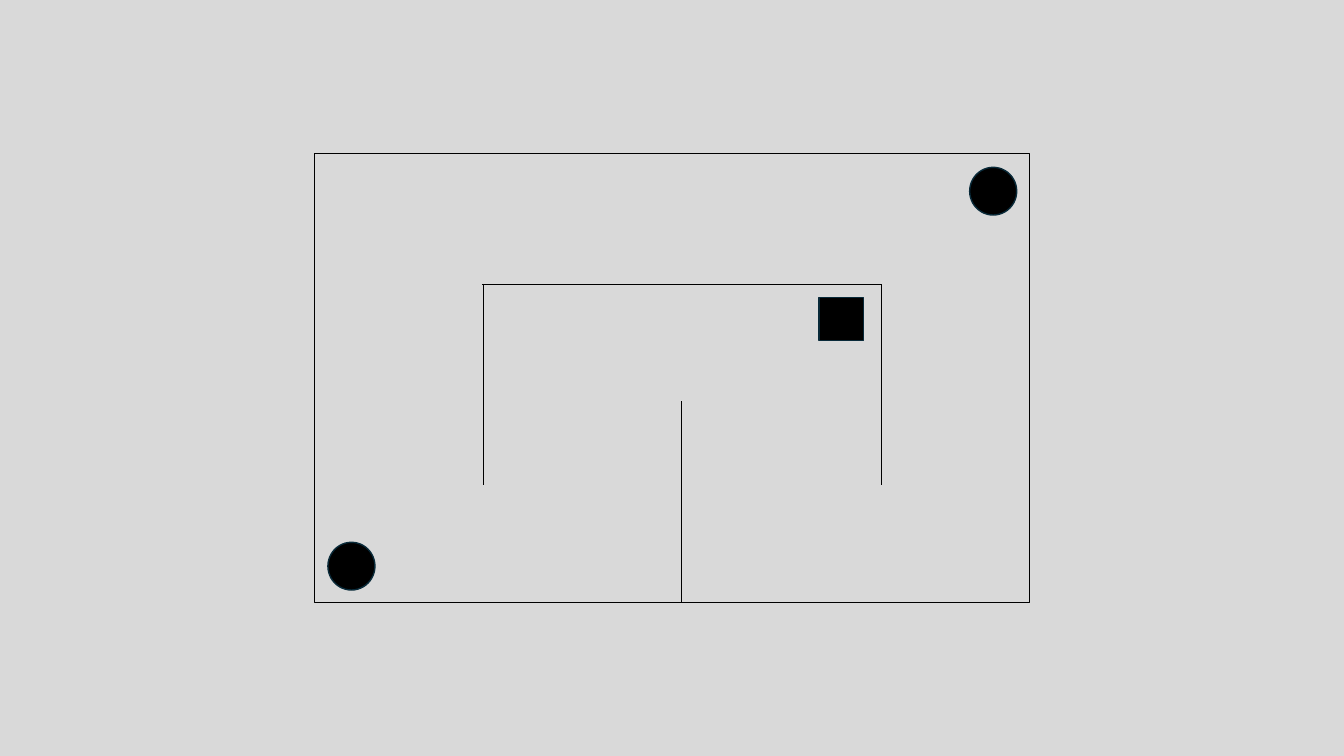
"""Build a slide with a plain maze: a walled arena, two discs and a block."""
from lxml.etree import SubElement
from pptx import Presentation
from pptx.dml.color import RGBColor
from pptx.enum.shapes import MSO_CONNECTOR, MSO_SHAPE
from pptx.oxml.ns import qn
from pptx.util import Inches, Pt

GREY = RGBColor(0xD9, 0xD9, 0xD9)
BLACK = RGBColor(0, 0, 0)
NAVY = RGBColor(0x09, 0x2A, 0x39)

LEFT_WALL, RIGHT_WALL, ROOF, WALL_END = 7.19, 13.11, 4.23, 7.21
ARENA = (MSO_SHAPE.RECTANGLE, (4.68, 2.29, 10.64, 6.67), GREY, BLACK, 1)
MARKERS = [
    (MSO_SHAPE.OVAL, (4.88, 8.07, 0.7, 0.71), BLACK, NAVY, 1.5),
    (MSO_SHAPE.OVAL, (14.43, 2.49, 0.7, 0.71), BLACK, NAVY, 1.5),
    (MSO_SHAPE.RECTANGLE, (12.19, 4.43, 0.66, 0.64), BLACK, NAVY, 1.5),
]
WALLS = [
    (LEFT_WALL, ROOF, LEFT_WALL, WALL_END),
    (10.14, 5.97, 10.14, 8.96),
    (RIGHT_WALL, ROOF, RIGHT_WALL, WALL_END),
    (7.17, ROOF, RIGHT_WALL, ROOF),
]


def add_piece(maze, kind, box, fill, outline, weight):
    piece = maze.shapes.add_shape(kind, *map(Inches, box))
    piece.shadow.inherit = False
    piece.fill.solid()
    piece.fill.fore_color.rgb = fill
    piece.line.color.rgb = outline
    piece.line.width = Pt(weight)


def add_wall(maze, ends):
    wall = maze.shapes.add_connector(MSO_CONNECTOR.STRAIGHT, *map(Inches, ends))
    wall.line.color.rgb = BLACK
    wall.line.width = Pt(1)
    SubElement(wall._element.spPr, qn("a:effectLst"))


def main():
    deck = Presentation()
    deck.slide_width, deck.slide_height = Inches(20), Inches(11.25)
    slide = deck.slides.add_slide(deck.slide_layouts[6])
    slide.background.fill.solid()
    slide.background.fill.fore_color.rgb = GREY

    maze = slide.shapes.add_group_shape()
    add_piece(maze, *ARENA)
    for ends in WALLS:
        add_wall(maze, ends)
    for marker in MARKERS:
        add_piece(maze, *marker)
    deck.save("out.pptx")


if __name__ == "__main__":
    main()
